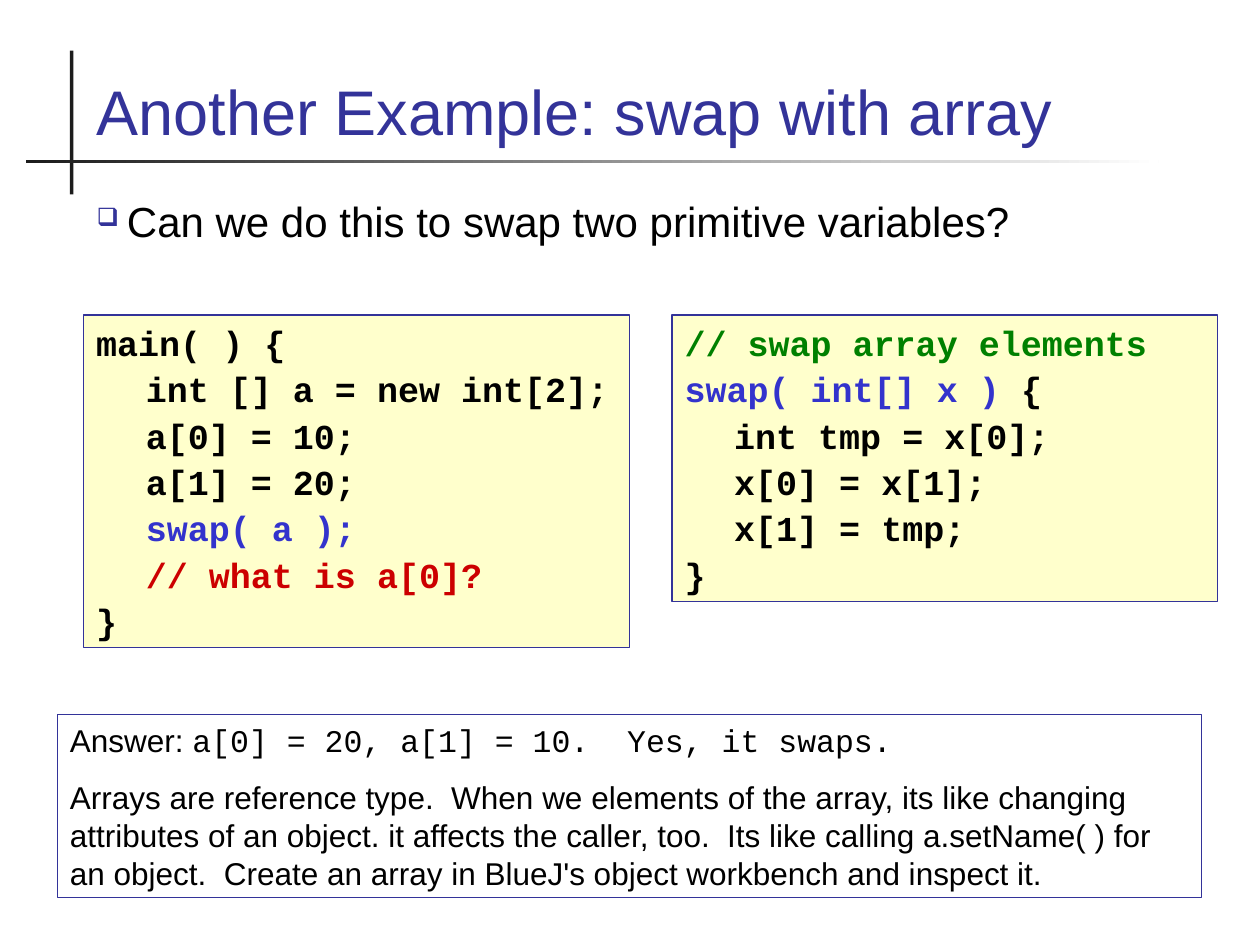
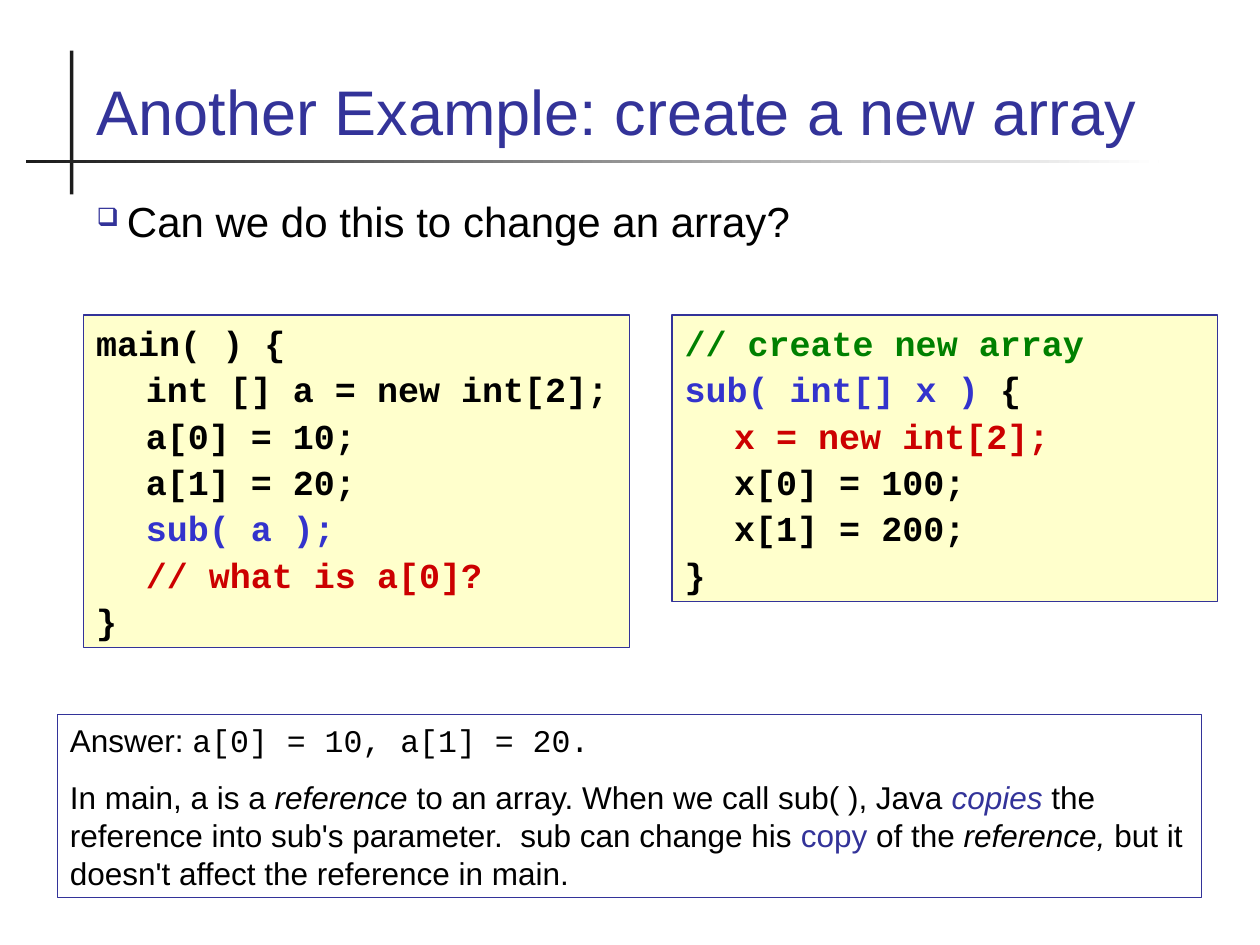
from lxml import etree
from pptx import Presentation
from pptx import util as u
from pptx.dml import color
from pptx.enum import shapes, text
from pptx.oxml import ns

COLORS = {
    "paper": "FFFFFF", "rule": "1C1C1C", "heading": "333399", "body": "000000",
    "code_fill": "FFFFCC", "call": "3333CC", "alert": "CC0000", "comment": "008000",
}
SANS, MONO = "Arial", "Courier New"

MAIN_START = [
    (0, [("main( ) {", {})]),
    (1, [("int [] a = new int[2];", {})]),
    (1, [("a[0] = 10;", {})]),
    (1, [("a[1] = 20;", {})]),
]
MAIN_END = [
    (1, [("// what is a[0]?", {"color": "alert"})]),
    (0, [("}", {})]),
]
ITALIC = {"italic": True}

EXAMPLES = [
    {
        "title": "Another Example: swap with array",
        "question": "Can we do this to swap two primitive variables?",
        "caller": MAIN_START + [(1, [("swap( a );", {"color": "call"})])] + MAIN_END,
        "method": [
            (0, [("// swap array elements", {"color": "comment"})]),
            (0, [("swap( int[] x )", {"color": "call"}), (" {", {})]),
            (1, [("int tmp = x[0];", {})]),
            (1, [("x[0] = x[1];", {})]),
            (1, [("x[1] = tmp;", {})]),
            (0, [("}", {})]),
        ],
        "answer": "a[0] = 20, a[1] = 10.  Yes, it swaps.",
        "reason": [
            ("Arrays are reference type.  When we elements of the array, its like "
             "changing attributes of an object. it affects the caller, too.  Its like "
             "calling a.setName( ) for an object.  Create an array in BlueJ's object "
             "workbench and inspect it.", {}),
        ],
    },
    {
        "title": "Another Example: create a new array",
        "question": "Can we do this to change an array?",
        "caller": MAIN_START + [(1, [("sub( a );", {"color": "call"})])] + MAIN_END,
        "method": [
            (0, [("// create new array", {"color": "comment"})]),
            (0, [("sub( int[] x )", {"color": "call"}), (" {", {})]),
            (1, [("x = new int[2];", {"color": "alert"})]),
            (1, [("x[0] = 100;", {})]),
            (1, [("x[1] = 200;", {})]),
            (0, [("}", {})]),
        ],
        "answer": "a[0] = 10, a[1] = 20.",
        "reason": [
            ("In main, a is a ", {}),
            ("reference", ITALIC),
            (" to an array. When we call sub( ), Java ", {}),
            ("copies", {"color": "heading", "italic": True}),
            (" the reference into sub's parameter.  sub can change his ", {}),
            ("copy", {"color": "heading"}),
            (" of the ", {}),
            ("reference,", ITALIC),
            (" but it doesn't affect the reference in main.", {}),
        ],
    },
]

AREAS = {
    "vertical": (1.41, 1.02, 0.07, 2.9),
    "horizontal": (0.53, 3.22, 22.83, 0.07),
    "title": (1.7, 0.71, 22, 2.41),
    "question": (1.7, 3.81, 22, 2.34),
    "caller": (1.69, 6.35, 11, 6.71),
    "method": (13.55, 6.35, 11, 5.78),
    "answer": (1.16, 14.4, 23.06, 3.7),
}
STYLES = {
    "title": {"name": SANS, "size": u.Pt(36), "color": "heading"},
    "question": {"name": SANS, "size": u.Pt(24), "color": "body"},
    "code": {"name": MONO, "size": u.Pt(20), "color": "body", "bold": True},
    "answer": {"name": SANS, "size": u.Pt(18), "color": "body"},
}
FRAME = {
    "word_wrap": True, "auto_size": text.MSO_AUTO_SIZE.NONE,
    "margin_left": u.Cm(0.25), "margin_right": u.Cm(0.25),
    "margin_top": u.Cm(0.13), "margin_bottom": u.Cm(0.13),
}
CODE_INDENT, BULLET_INDENT = u.Cm(1), u.Cm(0.61)


def rgb(name):
    return color.RGBColor.from_string(COLORS[name])


def assign(target, values):
    for key, value in values.items():
        setattr(target, key, value)


def area(name):
    return [u.Cm(length) for length in AREAS[name]]


def write(frame, paragraphs, style, gap=0, anchor=text.MSO_ANCHOR.TOP):
    assign(frame, {**FRAME, "vertical_anchor": anchor})
    for index, (level, runs) in enumerate(paragraphs):
        line = frame.paragraphs[0] if index == 0 else frame.add_paragraph()
        assign(line, {"alignment": text.PP_ALIGN.LEFT,
                      "space_before": u.Pt(gap if index else 0)})
        if level:
            line._p.get_or_add_pPr().set("marL", str(level * CODE_INDENT))
        for words, changes in runs:
            run = line.add_run()
            run.text = words
            font = {**STYLES[style], **changes}
            run.font.color.rgb = rgb(font.pop("color"))
            assign(run.font, font)


def add_bullet(paragraph):
    properties = paragraph._p.get_or_add_pPr()
    properties.set("marL", str(BULLET_INDENT))
    properties.set("indent", str(-BULLET_INDENT))
    tint = etree.SubElement(properties, ns.qn("a:buClr"))
    etree.SubElement(tint, ns.qn("a:srgbClr"), val=COLORS["heading"])
    etree.SubElement(properties, ns.qn("a:buSzPct"), val="60000")
    etree.SubElement(properties, ns.qn("a:buChar"), char="❑")


def add_box(slide, name, fill=None, line="heading"):
    box = slide.shapes.add_shape(shapes.MSO_SHAPE.RECTANGLE, *area(name))
    box.shadow.inherit = False
    if fill:
        box.fill.solid()
        box.fill.fore_color.rgb = rgb(fill)
    else:
        box.fill.background()
    if line:
        box.line.color.rgb = rgb(line)
        box.line.width = u.Pt(0.75)
    else:
        box.line.fill.background()
    return box


def add_heading(slide, title):
    add_box(slide, "vertical", "rule", None)
    fade = add_box(slide, "horizontal", None, None).fill
    fade.gradient()
    fade.gradient_angle = 0
    for stop, name, position in zip(fade.gradient_stops, ("rule", "paper"), (0, 1)):
        stop.color.rgb = rgb(name)
        stop.position = position
    heading = slide.shapes.add_textbox(*area("title"))
    write(heading.text_frame, [(0, [(title, {})])], "title",
          anchor=text.MSO_ANCHOR.BOTTOM)


def add_example(deck, example):
    slide = deck.slides.add_slide(deck.slide_layouts[6])
    add_heading(slide, example["title"])

    question = slide.shapes.add_textbox(*area("question")).text_frame
    write(question, [(0, [(example["question"], {})])], "question")
    add_bullet(question.paragraphs[0])

    for part in ("caller", "method"):
        code = add_box(slide, part, "code_fill")
        write(code.text_frame, example[part], "code", 2.5)

    answer = [("Answer: ", {}), (example["answer"], {"name": MONO})]
    write(add_box(slide, "answer").text_frame,
          [(0, answer), (0, example["reason"])], "answer", 11.2)


def main():
    deck = Presentation()
    assign(deck, {"slide_width": u.Cm(25.4), "slide_height": u.Cm(19.05)})
    for example in EXAMPLES:
        add_example(deck, example)
    deck.save("out.pptx")


if __name__ == "__main__":
    main()
